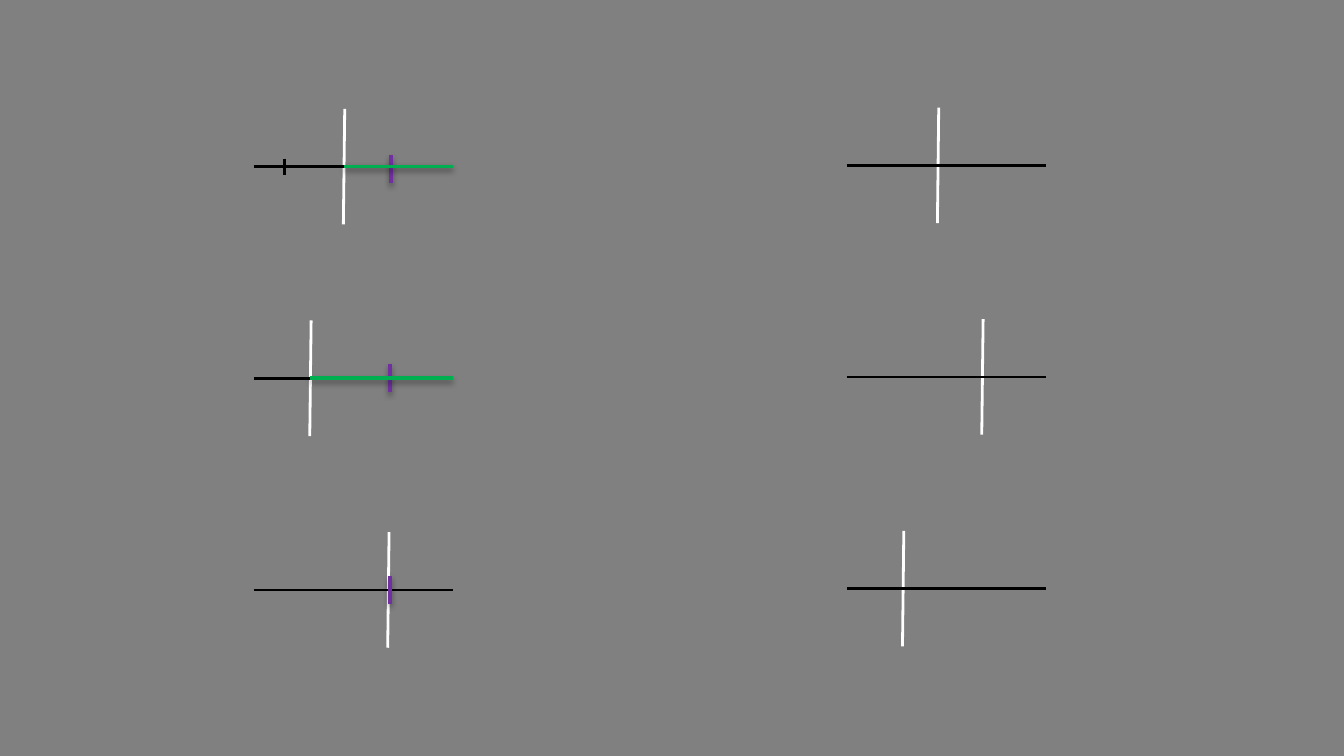
from dataclasses import dataclass

from lxml import etree
from pptx import Presentation
from pptx.dml.color import RGBColor
from pptx.enum.shapes import MSO_CONNECTOR
from pptx.oxml.ns import qn
from pptx.slide import Slide
from pptx.util import Inches, Pt

STRAIGHT = MSO_CONNECTOR.STRAIGHT

GRAY = RGBColor(0x80, 0x80, 0x80)
BLACK = RGBColor(0x00, 0x00, 0x00)
WHITE = RGBColor(0xFF, 0xFF, 0xFF)
PURPLE = RGBColor(0x70, 0x30, 0xA0)
GREEN = RGBColor(0x00, 0xB0, 0x50)

SLIDE_WIDTH = 10
SLIDE_HEIGHT = SLIDE_WIDTH * 9 / 16
COLUMN_LEFTS = (1.89, 6.3)
FIRST_AXES = (1.24, 1.23)
ROW_PITCH = 0.28 * SLIDE_HEIGHT
AXIS_LENGTH = 1.48
DIVIDER_HEIGHT, DIVIDER_LEAN = 0.86, 0.01
MARK_HEIGHT, TICK_HEIGHT = 0.21, 0.12


@dataclass(frozen=True)
class Scale:
    """An axis in the grid; offsets run from its left end."""
    column: int
    row: int
    divider: float
    tick: float | None = None
    mark: float | None = None
    mark_shift: float = 0
    has_range: bool = False

    @property
    def left(self) -> float:
        return COLUMN_LEFTS[self.column]

    @property
    def axis(self) -> float:
        return FIRST_AXES[self.column] + self.row * ROW_PITCH


SCALES = (
    Scale(0, 0, 0.67, tick=0.23, mark=1.02, mark_shift=0.02, has_range=True),
    Scale(0, 1, 0.42, mark=1.01, has_range=True),
    Scale(0, 2, 1, mark=1.01),
    Scale(1, 0, 0.68),
    Scale(1, 1, 1.01),
    Scale(1, 2, 0.42),
)


def add_line(slide: Slide, start: tuple[float, float], end: tuple[float, float],
             color: RGBColor, width: float = 1.5, shadow: bool = False) -> None:
    connector = slide.shapes.add_connector(
        STRAIGHT, *(Inches(value) for value in (*start, *end)))
    connector.line.color.rgb = color
    connector.line.width = Pt(width)
    effects = etree.SubElement(connector._element.spPr, qn("a:effectLst"))
    if shadow:
        outer = etree.SubElement(effects, qn("a:outerShdw"), blurRad="40000",
                                 dist="20000", dir="5400000", rotWithShape="0")
        shade = etree.SubElement(outer, qn("a:srgbClr"), val=str(BLACK))
        etree.SubElement(shade, qn("a:alpha"), val="38000")


def add_tick(slide: Slide, scale: Scale) -> None:
    x = scale.left + scale.tick
    add_line(slide, (x, scale.axis - TICK_HEIGHT / 2),
             (x, scale.axis + TICK_HEIGHT / 2), BLACK)


def add_divider(slide: Slide, scale: Scale) -> None:
    x = scale.left + scale.divider
    add_line(slide, (x + DIVIDER_LEAN / 2, scale.axis - DIVIDER_HEIGHT / 2),
             (x - DIVIDER_LEAN / 2, scale.axis + DIVIDER_HEIGHT / 2), WHITE)


def add_axis(slide: Slide, scale: Scale) -> None:
    add_line(slide, (scale.left, scale.axis),
             (scale.left + AXIS_LENGTH, scale.axis), BLACK)


def add_mark(slide: Slide, scale: Scale) -> None:
    x, y = scale.left + scale.mark, scale.axis + scale.mark_shift
    add_line(slide, (x, y - MARK_HEIGHT / 2), (x, y + MARK_HEIGHT / 2),
             PURPLE, 2, True)


def add_range(slide: Slide, scale: Scale) -> None:
    add_line(slide, (scale.left + scale.divider, scale.axis),
             (scale.left + AXIS_LENGTH, scale.axis), GREEN, 2, True)


def main() -> None:
    presentation = Presentation()
    presentation.slide_width = Inches(SLIDE_WIDTH)
    presentation.slide_height = Inches(SLIDE_HEIGHT)
    slide = presentation.slides.add_slide(presentation.slide_layouts[6])
    slide.background.fill.solid()
    slide.background.fill.fore_color.rgb = GRAY

    layers = (
        (add_tick, [scale for scale in SCALES if scale.tick is not None]),
        (add_divider, SCALES),
        (add_axis, SCALES),
        (add_mark, [scale for scale in SCALES if scale.mark is not None]),
        (add_range, [scale for scale in SCALES if scale.has_range]),
    )
    for draw, scales in layers:
        for scale in scales:
            draw(slide, scale)

    presentation.save("out.pptx")


if __name__ == "__main__":
    main()
